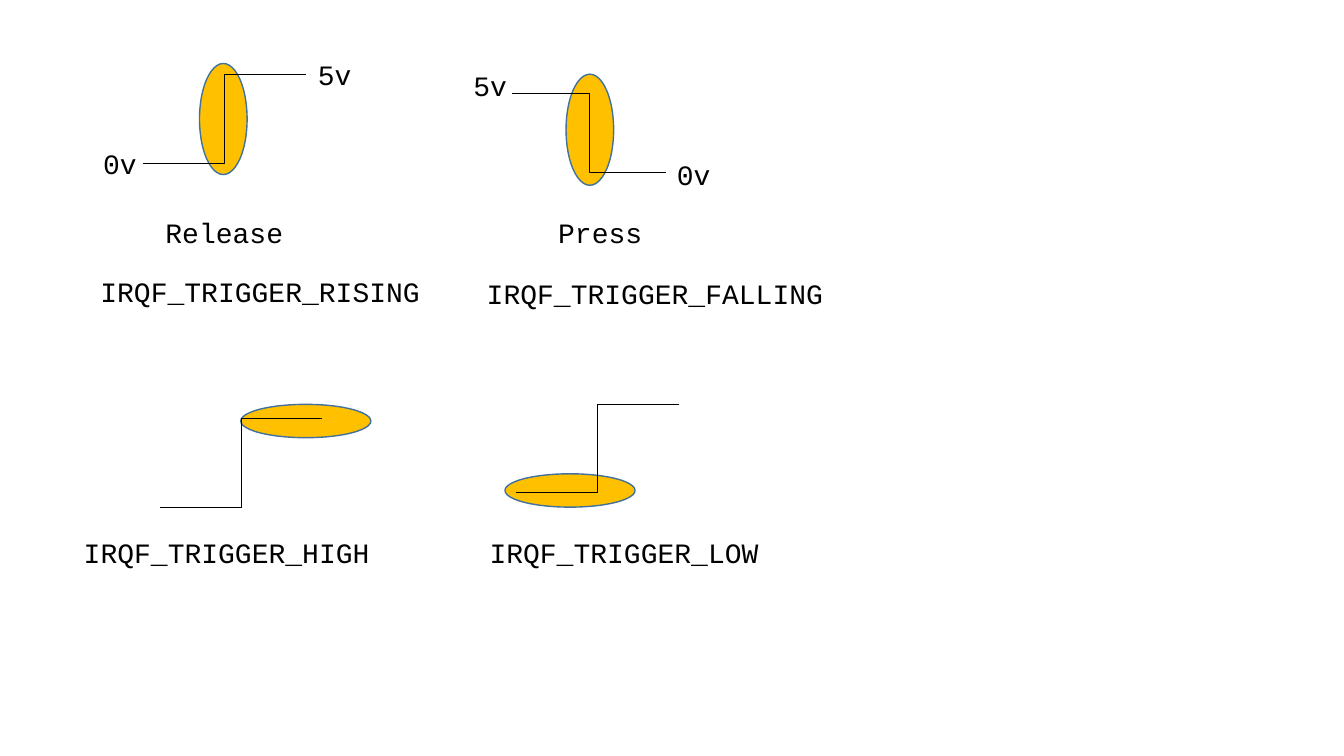
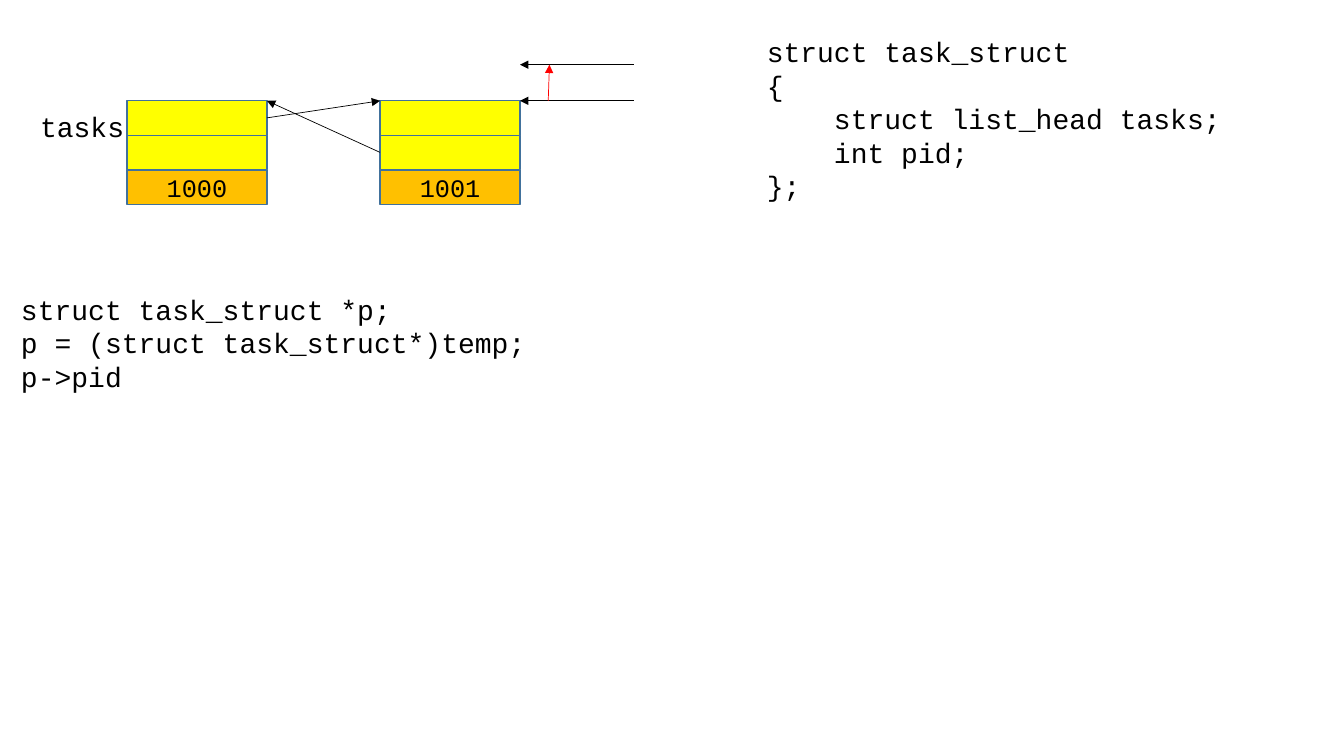
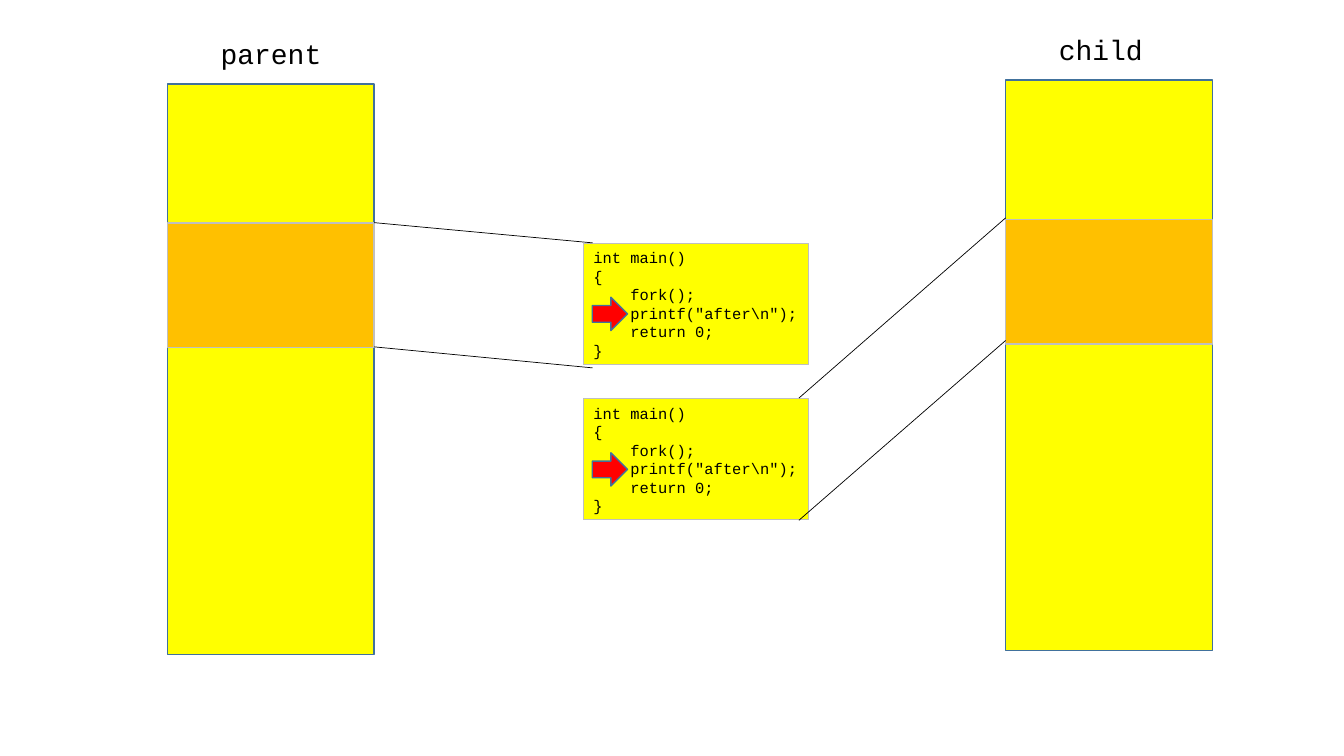
from pptx import Presentation
from pptx.dml.color import RGBColor
from pptx.enum.shapes import MSO_CONNECTOR, MSO_SHAPE
from pptx.enum.text import MSO_ANCHOR, MSO_AUTO_SIZE, PP_ALIGN
from pptx.oxml.ns import qn
from pptx.util import Cm, Pt
from lxml.etree import SubElement

BLACK, RED, YELLOW, AMBER = "000000", "FF0000", "FFFF00", "FFC000"
BLUE, GREY = ("41719C", 1), ("BFBFBF", 0.75)
FONT = "Courier New"
PAD = {"margin_left": 0.25, "margin_right": 0.25,
       "margin_top": 0.13, "margin_bottom": 0.13}

# Slide 1: places of the ovals, steps and labels, in cm
TALL, WIDE = (1.2, 2.8), (3.28, 0.84)
SIGNALS = [
    {"oval": (5.03, 1.6, *TALL), "step": (3.61, 4.11, 7.71, 1.88),
     "labels": [("0v", 2.35, 3.56), ("5v", 7.76, 1.32),
                ("Release", 3.92, 5.31), ("IRQF_TRIGGER_RISING", 2.28, 6.78)]},
    {"oval": (14.27, 1.87, *TALL), "step": (12.92, 2.35, 16.78, 4.34),
     "labels": [("0v", 16.81, 3.84), ("5v", 11.68, 1.6),
                ("Press", 13.82, 5.31), ("IRQF_TRIGGER_FALLING", 12.02, 6.83)]},
    {"oval": (6.07, 10.19, *WIDE), "step": (4.04, 12.78, 8.13, 10.54),
     "labels": [("IRQF_TRIGGER_HIGH", 1.86, 13.36)]},
    {"oval": (12.73, 11.94, *WIDE), "step": (13.02, 12.42, 17.11, 10.19),
     "labels": [("IRQF_TRIGGER_LOW", 12.09, 13.36)]},
]

# Slide 2
NODES = [("1000", 3.2), ("1001", 9.58)]
TOP, CELL = 2.54, (3.53, 0.87)
LINKS = [
    (6.73, 2.97, 9.58, TOP, BLACK),
    (9.58, 3.84, 6.73, TOP, BLACK),
    (15.98, TOP, 13.11, TOP, BLACK),
    (15.98, 1.63, 13.11, 1.63, BLACK),
    (13.82, TOP, 13.85, 1.63, RED),
]
NOTES = [
    (["struct task_struct", "{", "    struct list_head tasks;",
      "    int pid;", "};"], 19.08, 0.74),
    (["tasks"], 0.76, 2.64),
    (["struct task_struct *p;", "p = (struct task_struct*)temp;",
      "p->pid"], 0.28, 7.23),
]

# Slide 3
STACKS = [("parent", 4.22, 2.12), ("child", 25.35, 2.02)]
STACK, BAND = (5.21, 14.38), (5.21, 3.15)
CODE = ["int main()", "{", "    fork();", '    printf("after\\n");',
        "    return 0;", "}"]
LEFT, TOPS = 14.71, (6.13, 10.05)
RAYS = [
    (9.43, 5.61, 14.94, 6.12),
    (9.43, 8.74, 14.94, 9.27),
    (20.14, 10.03, 25.35, 5.49),
    (20.14, 13.11, 25.35, 8.58),
]


def tint(code):
    return RGBColor.from_string(code)


def write(frame, lines, size, align=PP_ALIGN.LEFT):
    for name, pad in PAD.items():
        setattr(frame, name, Cm(pad))
    for i, line in enumerate(lines):
        para = frame.paragraphs[0] if i == 0 else frame.add_paragraph()
        para.alignment = align
        para.line_spacing = Pt(size * 1.2)
        run = para.add_run()
        run.text = line
        for name, value in {"name": FONT, "size": Pt(size)}.items():
            setattr(run.font, name, value)
        run.font.color.rgb = tint(BLACK)


def label(slide, lines, x, y, size=20):
    """Add a text box just wide and high enough for its monospaced lines."""
    point = 2.54 / 72
    wide = max(map(len, lines)) * size * 0.6 * point + 0.54
    high = len(lines) * size * 1.2 * point + 0.26
    box = slide.shapes.add_textbox(Cm(x), Cm(y), Cm(wide), Cm(high))
    write(box.text_frame, lines, size)
    look = {"word_wrap": False, "auto_size": MSO_AUTO_SIZE.SHAPE_TO_FIT_TEXT}
    for name, value in look.items():
        setattr(box.text_frame, name, value)
    return box


def paint(shape, fill, edge):
    shape.fill.solid()
    shape.fill.fore_color.rgb = tint(fill)
    shape.line.color.rgb = tint(edge[0])
    shape.line.width = Pt(edge[1])


def block(slide, kind, place, fill, edge=BLUE):
    shape = slide.shapes.add_shape(kind, *map(Cm, place))
    shape.shadow.inherit = False
    paint(shape, fill, edge)
    return shape


def link(slide, ends, color=BLACK, kind=MSO_CONNECTOR.STRAIGHT, head=False):
    line = slide.shapes.add_connector(kind, *map(Cm, ends))
    line.line.color.rgb = tint(color)
    line.line.width = Pt(0.5)
    if head:
        SubElement(line.line._get_or_add_ln(), qn("a:tailEnd"), type="triangle")
    SubElement(line._element.spPr, qn("a:effectLst"))


def draw_signals(slide):
    for signal in SIGNALS:
        block(slide, MSO_SHAPE.OVAL, signal["oval"], AMBER)
        link(slide, signal["step"], kind=MSO_CONNECTOR.ELBOW)
        for text, x, y in signal["labels"]:
            label(slide, [text], x, y)


def draw_list(slide):
    for pid, x in NODES:
        for row, fill in enumerate((YELLOW, YELLOW, AMBER)):
            place = (x, TOP + row * CELL[1], *CELL)
            cell = block(slide, MSO_SHAPE.RECTANGLE, place, fill)
        write(cell.text_frame, [pid], 18, PP_ALIGN.CENTER)
        cell.text_frame.vertical_anchor = MSO_ANCHOR.MIDDLE
    for *ends, color in LINKS:
        link(slide, ends, color, head=True)
    for note in NOTES:
        label(slide, *note)


def draw_fork(slide):
    for name, x, y in STACKS:
        block(slide, MSO_SHAPE.RECTANGLE, (x, y, *STACK), YELLOW)
        block(slide, MSO_SHAPE.RECTANGLE, (x, y + 3.5, *BAND), AMBER, GREY)
        label(slide, [name], x + 1.09, y - 1.33)
    for y in TOPS:
        paint(label(slide, CODE, LEFT, y, 11), YELLOW, GREY)
        block(slide, MSO_SHAPE.RIGHT_ARROW, (LEFT + 0.22, y + 1.36, 0.89, 0.84), RED)
    for ends in RAYS:
        link(slide, ends)


def main():
    deck = Presentation()
    deck.slide_width, deck.slide_height = Cm(33.88), Cm(19.05)
    for draw in (draw_signals, draw_list, draw_fork):
        draw(deck.slides.add_slide(deck.slide_layouts[6]))
    deck.save("out.pptx")


if __name__ == "__main__":
    main()
